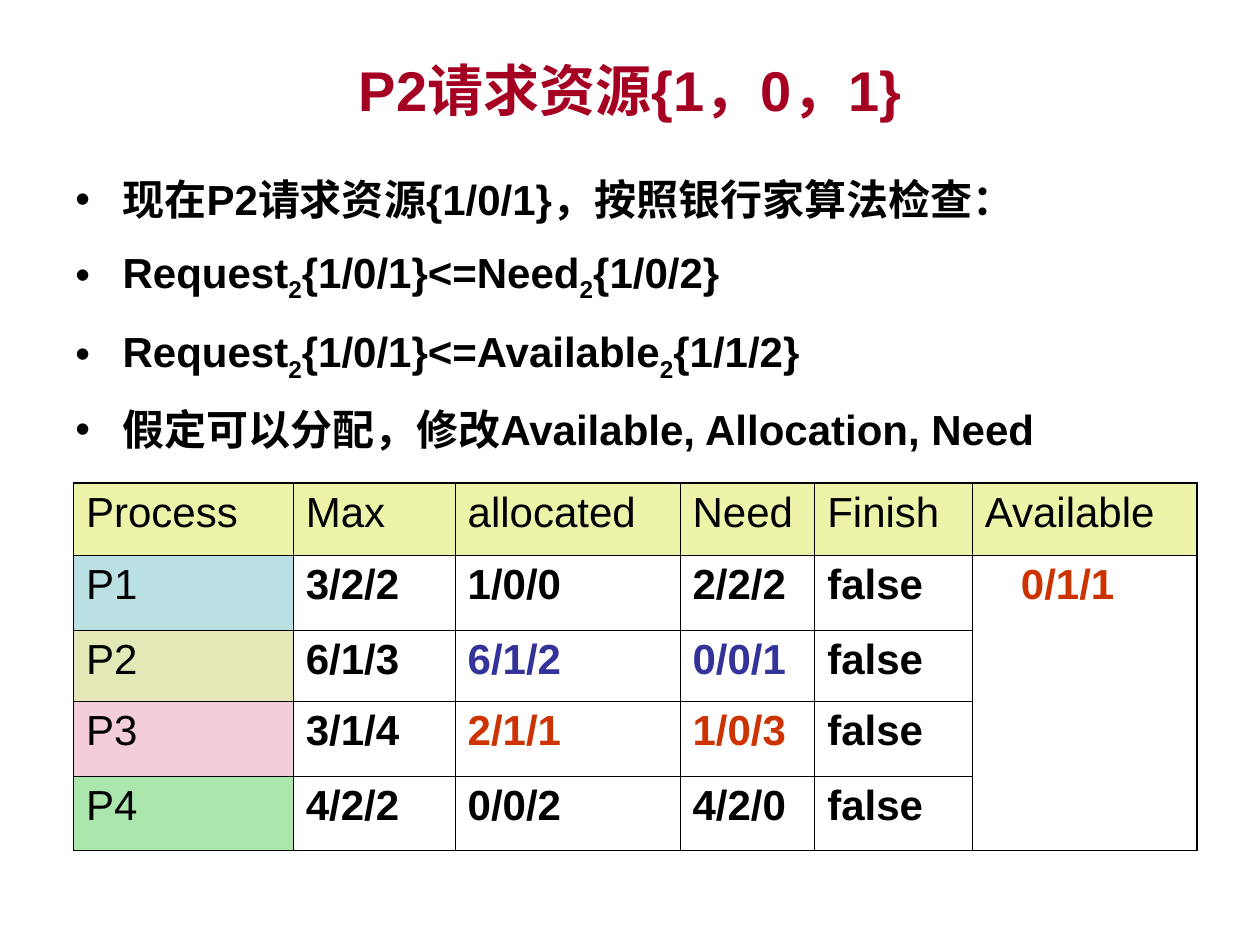
"""Build the banker's algorithm slide: P2 requests resources {1，0，1}."""
from lxml import etree
from pptx import Presentation
from pptx.dml.color import RGBColor
from pptx.enum import text
from pptx.oxml.ns import qn
from pptx.util import Pt

BLACK = RGBColor(0x00, 0x00, 0x00)
CRIMSON = RGBColor(0xA5, 0x00, 0x21)
RED = RGBColor(0xCC, 0x33, 0x00)
BLUE = RGBColor(0x33, 0x33, 0x99)
HEADER = RGBColor(0xED, 0xF4, 0xAA)
PROCESS_FILLS = [RGBColor(0xBB, 0xE0, 0xE3), RGBColor(0xE4, 0xE8, 0xB6),
                 RGBColor(0xF3, 0xCD, 0xD9), RGBColor(0xAB, 0xE7, 0xAC)]


def add_run(p, words, size=24, bold=True, color=BLACK, baseline=0):
    r = p.add_run()
    r.text = words
    r.font.name = "Arial"
    r.font.size = Pt(size)
    r.font.bold = bold
    r.font.color.rgb = color
    if baseline:
        r._r.get_or_add_rPr().set("baseline", str(baseline))


def add_border(cell, side, width):
    ln = etree.SubElement(cell._tc.get_or_add_tcPr(), qn(f"a:ln{side}"), w=str(Pt(width)))
    fill = etree.SubElement(ln, qn("a:solidFill"))
    etree.SubElement(fill, qn("a:srgbClr"), val=str(BLACK))


prs = Presentation()
prs.slide_width, prs.slide_height = Pt(720), Pt(540)
s = prs.slides.add_slide(prs.slide_layouts[6])

tf = s.shapes.add_textbox(Pt(36), Pt(6), Pt(648), Pt(90)).text_frame
tf.word_wrap = True
tf.vertical_anchor = text.MSO_ANCHOR.MIDDLE
p = tf.paragraphs[0]
p.alignment = text.PP_ALIGN.CENTER
add_run(p, "P2请求资源{1，0，1}", size=32, color=CRIMSON)

steps = [
    ["现在P2请求资源{1/0/1}，按照银行家算法检查："],
    ["Request", "2", "{1/0/1}<=Need", "2", "{1/0/2}"],
    ["Request", "2", "{1/0/1}<=Available", "2", "{1/1/2}"],
    ["假定可以分配，修改Available, Allocation, Need"],
]
tf = s.shapes.add_textbox(Pt(36), Pt(90), Pt(684), Pt(356)).text_frame
tf.word_wrap = True
for i, parts in enumerate(steps):
    p = tf.add_paragraph() if i else tf.paragraphs[0]
    p.line_spacing = 1.2
    p.space_before = Pt(6 if i else 0)
    pPr = p._p.get_or_add_pPr()
    pPr.set("marL", str(Pt(27)))
    pPr.set("indent", str(Pt(-27)))
    color = etree.SubElement(pPr, qn("a:buClr"))
    etree.SubElement(color, qn("a:srgbClr"), val=str(BLACK))
    etree.SubElement(pPr, qn("a:buFont"), typeface="Arial")
    etree.SubElement(pPr, qn("a:buChar"), char="•")
    for part in parts:
        add_run(p, part, baseline=-25000 if part == "2" else 0)

rows = [
    ["Process", "Max", "allocated", "Need", "Finish", "Available"],
    ["P1", "3/2/2", "1/0/0", "2/2/2", "false", "0/1/1"],
    ["P2", "6/1/3", "6/1/2", "0/0/1", "false", ""],
    ["P3", "3/1/4", "2/1/1", "1/0/3", "false", ""],
    ["P4", "4/2/2", "0/0/2", "4/2/0", "false", ""],
]
changed = {(1, 5): RED, (2, 2): BLUE, (2, 3): BLUE, (3, 2): RED, (3, 3): RED}
widths = [125.6, 92.5, 128.5, 77, 90, 128.4]
heights = [41.3, 42.9, 40.7, 42.9, 42.2]
table = s.shapes.add_table(len(rows), len(widths), Pt(42), Pt(276),
                           Pt(sum(widths)), Pt(sum(heights))).table
table.first_row = table.horz_banding = False
for column, width in zip(table.columns, widths):
    column.width = Pt(width)
for row, height in zip(table.rows, heights):
    row.height = Pt(height)

last_row, last_col = len(rows) - 1, len(widths) - 1
for i, values in enumerate(rows):
    for j, value in enumerate(values):
        cell = table.cell(i, j)
        outer = {"L": j == 0, "R": j == last_col, "T": i == 0, "B": i == last_row}
        for side, is_outer in outer.items():
            add_border(cell, side, 1.08 if is_outer else 0.45)
        if i == 0 or j == 0:
            cell.fill.solid()
            cell.fill.fore_color.rgb = PROCESS_FILLS[i - 1] if i else HEADER
        else:
            cell.fill.background()
        if value:
            add_run(cell.text_frame.paragraphs[0], value, bold=i > 0 and j > 0,
                    color=changed.get((i, j), BLACK))

available = table.cell(1, last_col)
available.merge(table.cell(last_row, last_col))
available.margin_right = Pt(26.5)
available.text_frame.paragraphs[0].alignment = text.PP_ALIGN.CENTER

prs.save("out.pptx")
